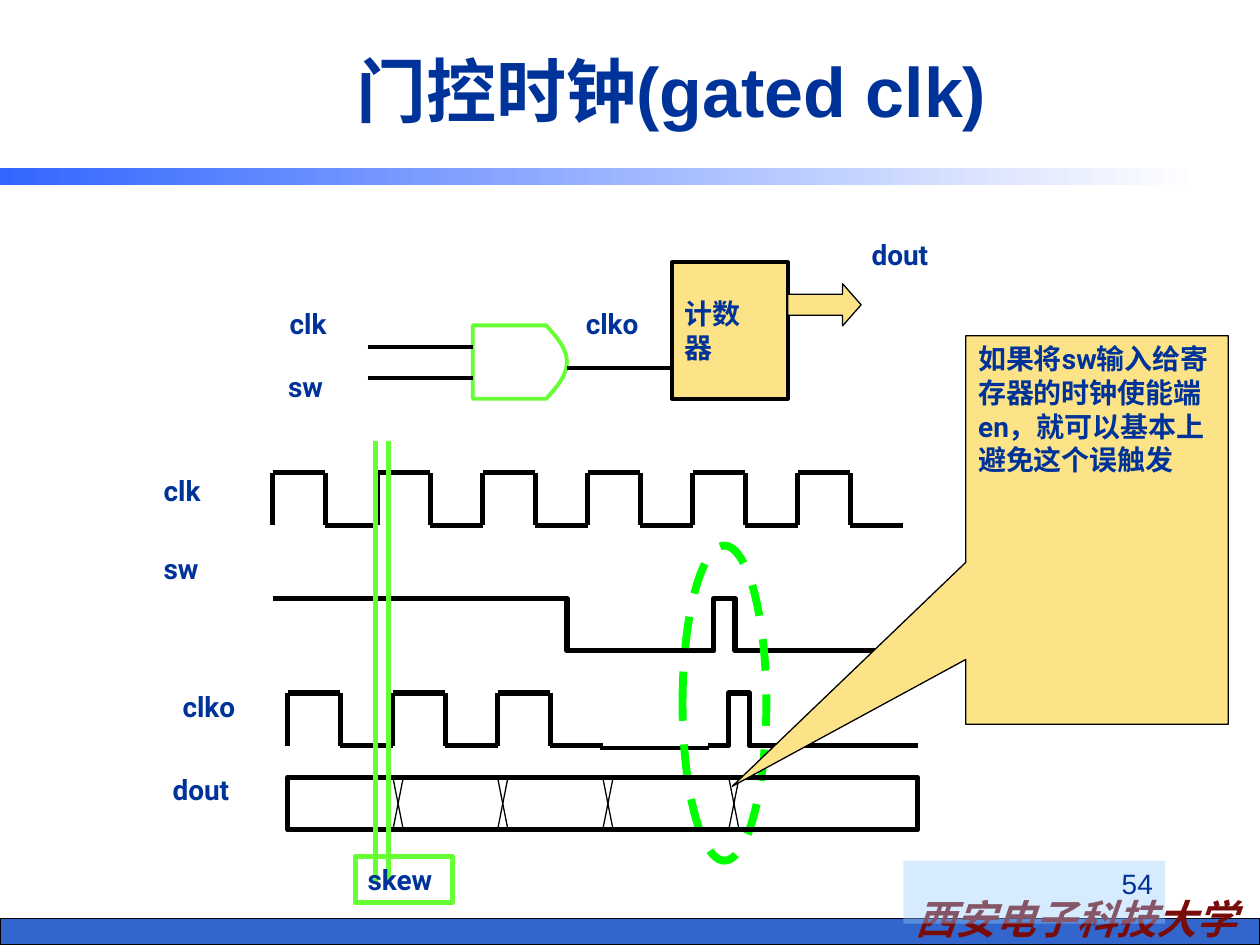
from dataclasses import dataclass
from typing import NamedTuple

from lxml.etree import SubElement
from pptx import Presentation
from pptx.dml.color import RGBColor as Rgb
from pptx.enum.dml import MSO_LINE as Dash
from pptx.enum.shapes import MSO_CONNECTOR as Link, MSO_SHAPE as Preset
from pptx.enum.text import MSO_ANCHOR as Anchor, PP_ALIGN as Align
from pptx.oxml.ns import qn
from pptx.util import Cm, Pt


@dataclass(frozen=True)
class Theme:
    navy: str = "003399"
    black: str = "000000"
    amber: str = "FCE388"
    lime: str = "66FF33"
    green: str = "00FF00"
    footer: str = "3366CC"
    maroon: str = "790C09"
    sky: str = "99CCFF"
    bar_start: str = "3366FF"
    bar_end: str = "FFFFFF"
    body_font: str = "Roboto"
    head_font: str = "Arial"
    cjk_font: str = "Noto Sans CJK SC"
    title_size: float = 40
    footer_size: float = 23
    body_size: float = 16
    hairline: float = 0.75
    wire: float = 2.25
    trace: float = 3
    ring: float = 4.5


class Box(NamedTuple):
    left: float
    top: float
    width: float
    height: float


class Label(NamedTuple):
    text: str
    left: float
    top: float
    width: float


class Clock(NamedTuple):
    start: float
    high: float
    pulses: int


THEME = Theme()
SWING = 1.06
PERIOD = 12.7 / 6
LABEL_HEIGHT = 0.94

LABELS = [
    Label("clk", 5.59, 6.05, 1.32),
    Label("sw", 5.56, 7.32, 1.27),
    Label("dout", 17.32, 4.66, 1.83),
    Label("clko", 11.56, 6.05, 1.65),
    Label("clk", 3.05, 9.42, 1.32),
    Label("clko", 3.43, 13.77, 1.65),
    Label("sw", 3.05, 11, 1.27),
    Label("dout", 3.23, 15.44, 1.83),
]
CLOCKS = [Clock(5.5, 9.53, 6), Clock(5.8, 13.97, 3)]
SW_TRACE = [(5.5, 12.07), (11.43, 12.07), (11.43, 13.12), (14.39, 13.12),
            (14.39, 12.07), (14.82, 12.07), (14.82, 13.12), (18.2, 13.12)]
GLITCH_TRACE = [(14.27, 15.03), (14.69, 15.03), (14.69, 13.97),
                (15.11, 13.97), (15.11, 15.03), (18.5, 15.03)]
DATA_BUS = Box(5.8, 15.67, 12.7, SWING)
BUS_CHANGES = [7.92, 10.03, 12.15, 14.69]

deck = Presentation()
deck.slide_width, deck.slide_height = Cm(25.4), Cm(19.05)
slide = deck.slides.add_slide(deck.slide_layouts[6])


def write(shape, text: str, *, size: float = THEME.body_size,
          color: str = THEME.navy, font: str = THEME.body_font,
          bold: bool = True, italic: bool = False, align=Align.LEFT,
          anchor=Anchor.TOP, wrap: bool = True) -> None:
    frame = shape.text_frame
    frame.word_wrap = wrap
    frame.vertical_anchor = anchor
    frame.text = text
    for paragraph in frame.paragraphs:
        paragraph.alignment = align
        for run in paragraphs_runs(paragraph):
            run.font.name = font
            run.font.size = Pt(size)
            run.font.bold = bold
            run.font.italic = italic
            run.font.color.rgb = Rgb.from_string(color)
            SubElement(run.font._element, qn("a:ea"), typeface=THEME.cjk_font)


def paragraphs_runs(paragraph) -> tuple:
    return paragraph.runs


def text_box(box: Box, text: str, **look):
    write(slide.shapes.add_textbox(*map(Cm, box)), text, **look)


def outline(shape, color: str | None, weight: float) -> None:
    if color is None:
        shape.line.fill.background()
    else:
        shape.line.color.rgb = Rgb.from_string(color)
        shape.line.width = Pt(weight)


def block(preset, box: Box, fill: str | None = None,
          line: str | None = None, weight: float = THEME.hairline):
    shape = slide.shapes.add_shape(preset, *map(Cm, box))
    shape.shadow.inherit = False
    if fill is None:
        shape.fill.background()
    else:
        shape.fill.solid()
        shape.fill.fore_color.rgb = Rgb.from_string(fill)
    outline(shape, line, weight)
    return shape


def wire(x1: float, y1: float, x2: float, y2: float,
         color: str = THEME.black, weight: float = THEME.wire) -> None:
    link = slide.shapes.add_connector(Link.STRAIGHT, Cm(x1), Cm(y1), Cm(x2), Cm(y2))
    outline(link, color, weight)
    SubElement(link._element.spPr, qn("a:effectLst"))


def trace(points: list, color: str = THEME.black,
          weight: float = THEME.trace, close: bool = False) -> None:
    first, *rest = [(Cm(x), Cm(y)) for x, y in points]
    builder = slide.shapes.build_freeform(*first)
    builder.add_line_segments(rest, close=close)
    shape = builder.convert_to_shape()
    shape.shadow.inherit = False
    shape.fill.background()
    outline(shape, color, weight)


def clock_wave(clock: Clock) -> None:
    low = clock.high + SWING
    for pulse in range(clock.pulses):
        rise = clock.start + pulse * PERIOD
        fall, end = rise + PERIOD / 2, rise + PERIOD
        for edge in [(rise, clock.high, fall, clock.high), (fall, low, end, low),
                     (fall, clock.high, fall, low), (rise, clock.high, rise, low)]:
            wire(*edge, weight=THEME.trace)


def and_gate(box: Box, nose: float, steps: int = 16) -> None:
    shoulder = box.left + box.width - nose
    curve = []
    for step in range(steps + 1):
        t = step / steps
        bulge = 3 * t * (1 - t) * (1 + t * (1 - t)) / 0.94
        curve.append((shoulder + nose * bulge, box.top + box.height * t))
    trace([(box.left, box.top), *curve, (box.left, box.top + box.height)],
          THEME.lime, THEME.wire, close=True)


def page_frame() -> None:
    block(Preset.RECTANGLE, Box(0, 18.52, 25.4, 0.53), THEME.footer, THEME.black)
    text_box(Box(17.7, 17.91, 8, 1.24), "西安电子科技大学", size=THEME.footer_size,
             color=THEME.maroon, font=THEME.cjk_font, italic=True, align=Align.CENTER)
    bar = block(Preset.RECTANGLE, Box(0, 3.38, 24.16, 0.36), THEME.bar_start)
    bar.fill.gradient()
    bar.fill.gradient_angle = 0
    for stop, color in zip(bar.fill.gradient_stops, (THEME.bar_start, THEME.bar_end)):
        stop.color.rgb = Rgb.from_string(color)
    page = block(Preset.RECTANGLE, Box(18.21, 17.35, 5.28, 1.27), THEME.sky)
    tint = page._element.spPr.find(qn("a:solidFill"))[0]
    SubElement(tint, qn("a:alpha"), val="39000")
    write(page, "54", font=THEME.head_font, bold=False, align=Align.RIGHT)
    text_box(Box(3.38, 0.43, 20.32, 2.74), "门控时钟(gated clk)", size=THEME.title_size,
             font=THEME.head_font, align=Align.CENTER, anchor=Anchor.MIDDLE)


def circuit() -> None:
    counter = block(Preset.RECTANGLE, Box(13.55, 5.29, 2.33, 2.75),
                    THEME.amber, THEME.black, THEME.wire)
    write(counter, "计数\n器", anchor=Anchor.MIDDLE)
    and_gate(Box(9.53, 6.56, 1.9, 1.48), nose=0.42)
    for level in (6.99, 7.62):
        wire(7.41, level, 9.53, level)
    wire(11.43, 7.41, 13.55, 7.41)
    output = block(Preset.RIGHT_ARROW, Box(15.88, 5.72, 1.48, 0.85),
                   THEME.amber, THEME.black)
    output.adjustments[1] = 0.44


def timing() -> None:
    for clock in CLOCKS:
        clock_wave(clock)
    trace(SW_TRACE)
    trace(GLITCH_TRACE)
    wire(12.09, 15.07, 14.3, 15.07)
    ring = block(Preset.OVAL, Box(13.76, 11, 1.69, 6.35), None, THEME.green, THEME.ring)
    ring.line.dash_style = Dash.DASH
    block(Preset.RECTANGLE, DATA_BUS, None, THEME.black, THEME.trace)
    top, bottom = DATA_BUS.top, DATA_BUS.top + DATA_BUS.height
    for left in BUS_CHANGES:
        right = left + 0.21
        wire(left, bottom, right, top, weight=THEME.hairline)
        wire(right, bottom, left, top, weight=THEME.hairline)


def remarks() -> None:
    for label in LABELS:
        text_box(Box(label.left, label.top, label.width, LABEL_HEIGHT),
                 label.text, wrap=False)
    advice = block(Preset.RECTANGULAR_CALLOUT, Box(19.47, 6.77, 5.29, 7.83),
                   THEME.amber, THEME.black)
    advice.adjustments[0], advice.adjustments[1] = -1.39, 0.66
    write(advice, "如果将sw输入给寄存器的时钟使能端en，就可以基本上避免这个误触发")
    for edge in (7.57, 7.83):
        wire(edge, 8.89, edge, 17.78, THEME.lime, THEME.trace)
    skew = block(Preset.RECTANGLE, Box(7.16, 17.26, 1.96, LABEL_HEIGHT),
                 None, THEME.lime, THEME.trace)
    write(skew, "skew", wrap=False)


if __name__ == "__main__":
    page_frame()
    circuit()
    timing()
    remarks()
    deck.save("out.pptx")
